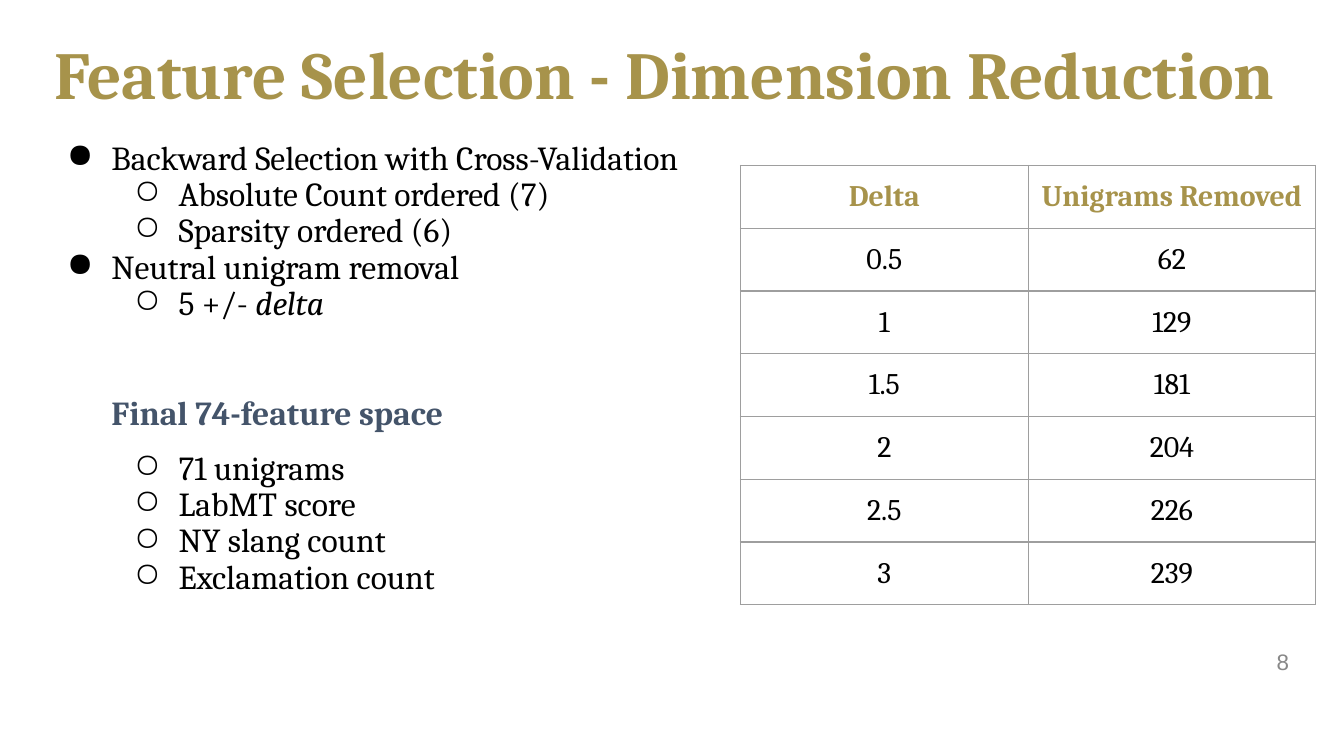
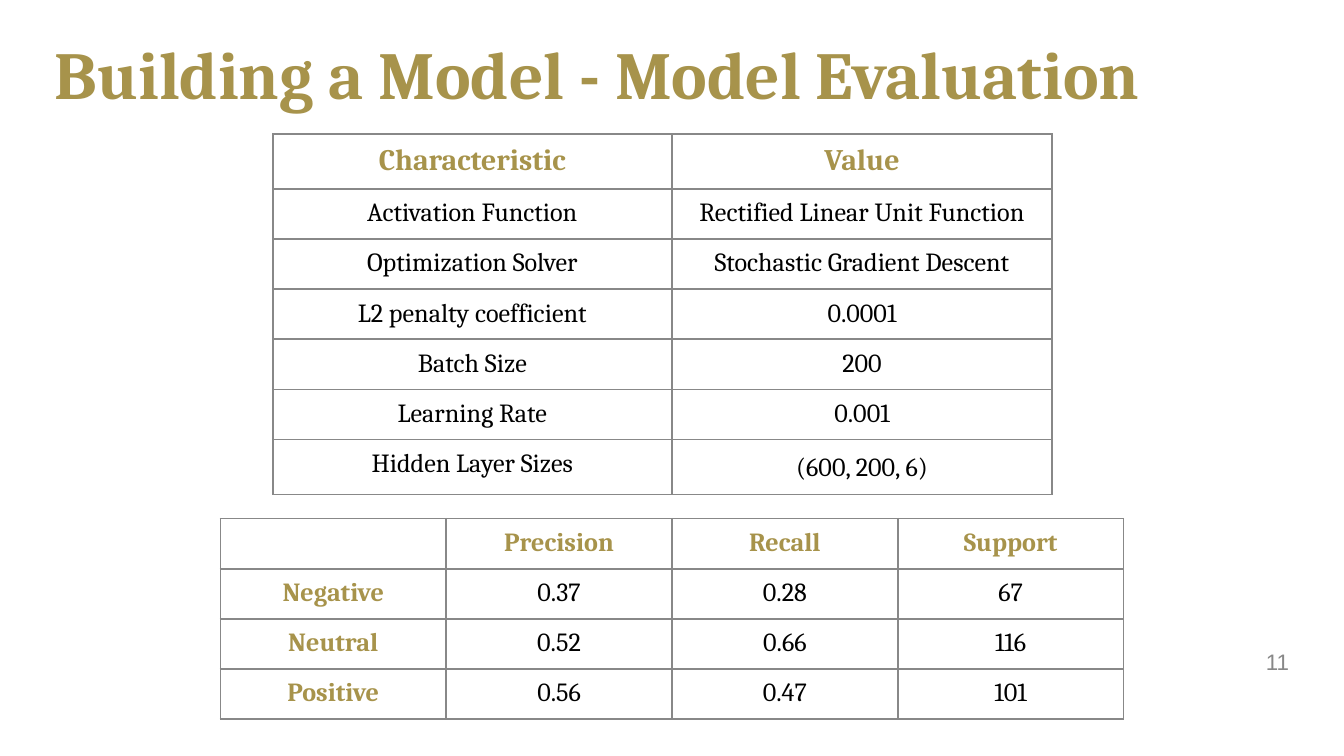
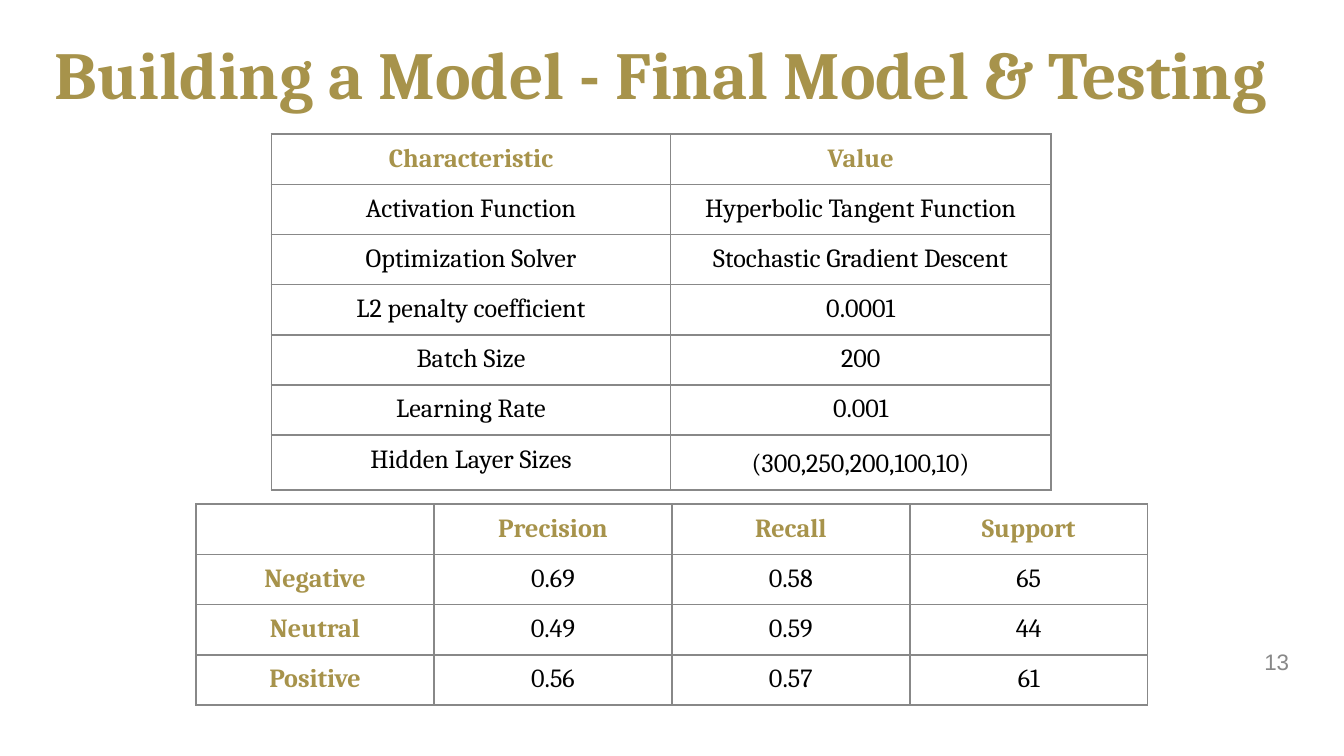
import dataclasses

import lxml.etree
import pptx
import pptx.dml.color
import pptx.enum.text
import pptx.oxml.ns
import pptx.util

SLIDE_WIDTH = pptx.util.Inches(10)
SLIDE_HEIGHT = pptx.util.Inches(5.625)
GRID = 100  # columns and rows per slide

GOLD, SLATE, BLACK, GRAY, SILVER = "A7934B", "44546A", "000000", "888888", "9E9E9E"
SERIF, SANS = "Cambria", "Arial"
LEFT, CENTER, RIGHT = (
    pptx.enum.text.PP_ALIGN.LEFT,
    pptx.enum.text.PP_ALIGN.CENTER,
    pptx.enum.text.PP_ALIGN.RIGHT,
)
TOP, MIDDLE = pptx.enum.text.MSO_ANCHOR.TOP, pptx.enum.text.MSO_ANCHOR.MIDDLE
BULLETS = ("●", "○")


def columns(count):
    return round(SLIDE_WIDTH * count / GRID)


def rows(count):
    return round(SLIDE_HEIGHT * count / GRID)


@dataclasses.dataclass
class Box:
    """A region in grid columns and rows."""
    left: float
    top: float
    width: float
    height: float

    def emu(self):
        return columns(self.left), rows(self.top), columns(self.width), rows(self.height)


@dataclasses.dataclass
class OutlineItem:
    text: str
    level: int = 0
    italic_tail: str = ""
    space_before: float = 0
    heading: bool = False


@dataclasses.dataclass
class GridStyle:
    line_color: str = GRAY
    line_width: float = 1
    size: float = 14
    header_size: float = 14
    padding: float = 0.07
    anchor: int = TOP


TITLE_BOX = Box(3.1, 2.85, 93.8, 14.75)
NUMBER_BOX = Box(74.4, 84.8, 22.5, 5.33)
OUTLINE_BOX = Box(2.3, 17.8, 93.8, 67)

OUTLINE = [
    OutlineItem("Backward Selection with Cross-Validation", space_before=10),
    OutlineItem("Absolute Count ordered (7)", 1),
    OutlineItem("Sparsity ordered (6)", 1),
    OutlineItem("Neutral unigram removal"),
    OutlineItem("5 +/- ", 1, italic_tail="delta"),
    OutlineItem("Final 74-feature space", space_before=39.5, heading=True),
    OutlineItem("71 unigrams", 1, space_before=10),
    OutlineItem("LabMT score", 1),
    OutlineItem("NY slang count", 1),
    OutlineItem("Exclamation count", 1),
]

REMOVED_UNIGRAMS = [
    ("Delta", "Unigrams Removed"),
    ("0.5", "62"),
    ("1", "129"),
    ("1.5", "181"),
    ("2", "204"),
    ("2.5", "226"),
    ("3", "239"),
]


def model_settings(activation, layer_sizes):
    return [
        ("Characteristic", "Value"),
        ("Activation Function", activation),
        ("Optimization Solver", "Stochastic Gradient Descent"),
        ("L2 penalty coefficient", "0.0001"),
        ("Batch Size", "200"),
        ("Learning Rate", "0.001"),
        ("Hidden Layer Sizes", layer_sizes),
    ]


def class_scores(negative, neutral, positive):
    return [
        ("", "Precision", "Recall", "Support"),
        ("Negative", *negative),
        ("Neutral", *neutral),
        ("Positive", *positive),
    ]


def rgb(color):
    return pptx.dml.color.RGBColor.from_string(color)


def add_xml(parent, tag, **attributes):
    return lxml.etree.SubElement(parent, pptx.oxml.ns.qn(tag), **attributes)


def format_run(run, size, color, bold=False, italic=False, font=SERIF):
    run.font.name = font
    run.font.size = pptx.util.Pt(size)
    run.font.bold = bold
    run.font.italic = italic
    run.font.color.rgb = rgb(color)


def add_text_frame(slide, box, anchor):
    frame = slide.shapes.add_textbox(*box.emu()).text_frame
    frame.word_wrap = True
    frame.vertical_anchor = anchor
    return frame


def add_line(slide, box, text, align, spacing, **run_style):
    """Place one vertically centred line of text."""
    paragraph = add_text_frame(slide, box, MIDDLE).paragraphs[0]
    paragraph.text = text
    paragraph.alignment = align
    paragraph.line_spacing = spacing
    format_run(paragraph.runs[0], **run_style)


def add_base_slide(deck, title, number):
    slide = deck.slides.add_slide(deck.slide_layouts[6])
    add_line(slide, TITLE_BOX, title, LEFT, 0.9, size=36, color=GOLD, bold=True)
    add_line(slide, NUMBER_BOX, number, RIGHT, 1.0, size=12, color=GRAY, font=SANS)
    return slide


def indent_item(paragraph, item):
    properties = paragraph._p.get_or_add_pPr()
    properties.set("marL", str(columns(5 * (item.level + 1))))
    properties.set("indent", str(0 if item.heading else -columns(3.3)))
    if not item.heading:
        bullet_color = add_xml(properties, "a:buClr")
        add_xml(bullet_color, "a:srgbClr", val=BLACK)
        add_xml(properties, "a:buChar", char=BULLETS[item.level])


def add_outline(slide, box, items):
    frame = add_text_frame(slide, box, TOP)
    for index, item in enumerate(items):
        paragraph = frame.add_paragraph() if index else frame.paragraphs[0]
        paragraph.text = item.text
        paragraph.level = item.level
        paragraph.line_spacing = 0.9
        paragraph.space_before = pptx.util.Pt(item.space_before)
        indent_item(paragraph, item)
        color = SLATE if item.heading else BLACK
        format_run(paragraph.runs[0], 18, color, bold=item.heading)
        if item.italic_tail:
            tail = paragraph.add_run()
            tail.text = item.italic_tail
            format_run(tail, 18, color, italic=True)


def draw_borders(cell, style):
    properties = cell._tc.get_or_add_tcPr()
    for side in ("a:lnL", "a:lnR", "a:lnT", "a:lnB"):
        line = add_xml(properties, side, w=str(pptx.util.Pt(style.line_width)))
        fill = add_xml(line, "a:solidFill")
        add_xml(fill, "a:srgbClr", val=style.line_color)


def fill_cell(cell, text, style, size, is_header):
    padding = pptx.util.Inches(style.padding)
    cell.margin_left = cell.margin_right = padding
    cell.margin_top = cell.margin_bottom = padding
    cell.vertical_anchor = style.anchor
    draw_borders(cell, style)
    cell.fill.background()
    paragraph = cell.text_frame.paragraphs[0]
    paragraph.text = text
    paragraph.alignment = CENTER
    for run in paragraph.runs:
        format_run(run, size, GOLD if is_header else BLACK, bold=is_header)
    if not text:
        add_xml(paragraph._p, "a:endParaRPr", sz=str(size * 100))


def add_grid(slide, box, data, style, shares=None, header_column=False):
    """Place a table; shares are the relative widths of its columns."""
    shares = shares or [1] * len(data[0])
    table = slide.shapes.add_table(len(data), len(shares), *box.emu()).table
    table.first_row = table.horz_banding = False
    for column, share in zip(table.columns, shares):
        column.width = columns(box.width * share / sum(shares))
    for row_index, values in enumerate(data):
        size = style.size if row_index else style.header_size
        for column_index, value in enumerate(values):
            is_header = row_index == 0 or (header_column and column_index == 0)
            fill_cell(table.cell(row_index, column_index), value, style, size, is_header)
    return table


def add_selection_slide(deck):
    slide = add_base_slide(deck, "Feature Selection - Dimension Reduction", "8")
    add_outline(slide, OUTLINE_BOX, OUTLINE)
    style = GridStyle(SILVER, 0.75, size=16, header_size=16, padding=0.1, anchor=MIDDLE)
    add_grid(slide, Box(55.1, 21.9, 42.8, 56.5), REMOVED_UNIGRAMS, style)


def add_model_slide(deck, title, number, settings, settings_left, header_size,
                    scores, scores_box):
    slide = add_base_slide(deck, title, number)
    add_grid(slide, scores_box, scores, GridStyle(), header_column=True)
    settings_box = Box(settings_left, 17.75, 58, 45)
    settings_table = add_grid(slide, settings_box, settings,
                              GridStyle(header_size=header_size), shares=(2.97, 2.83))
    layer_sizes = settings_table.cell(len(settings) - 1, 1)
    layer_sizes.text_frame.paragraphs[0].line_spacing = 1.15


def main():
    deck = pptx.Presentation()
    deck.slide_width, deck.slide_height = SLIDE_WIDTH, SLIDE_HEIGHT
    add_selection_slide(deck)
    add_model_slide(
        deck, "Building a Model - Model Evaluation", "11",
        model_settings("Rectified Linear Unit Function", "(600, 200, 6)"), 20.3, 16,
        class_scores(("0.37", "0.28", "67"), ("0.52", "0.66", "116"),
                     ("0.56", "0.47", "101")),
        Box(16.4, 68.6, 67.2, 25.8),
    )
    add_model_slide(
        deck, "Building a Model - Final Model & Testing", "13",
        model_settings("Hyperbolic Tangent Function", "(300,250,200,100,10)"), 20.2, 14,
        class_scores(("0.69", "0.58", "65"), ("0.49", "0.59", "44"),
                     ("0.56", "0.57", "61")),
        Box(14.6, 66.7, 70.8, 25.8),
    )
    deck.save("out.pptx")


if __name__ == "__main__":
    main()
